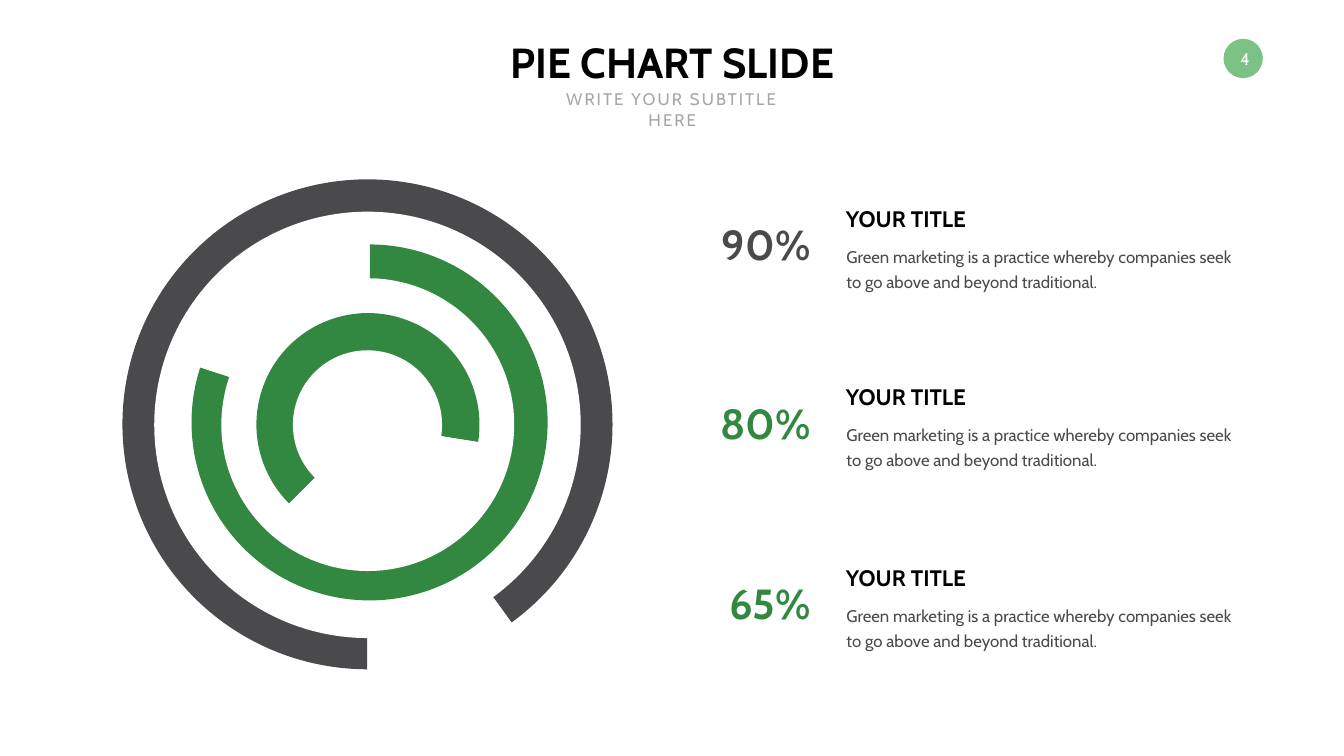
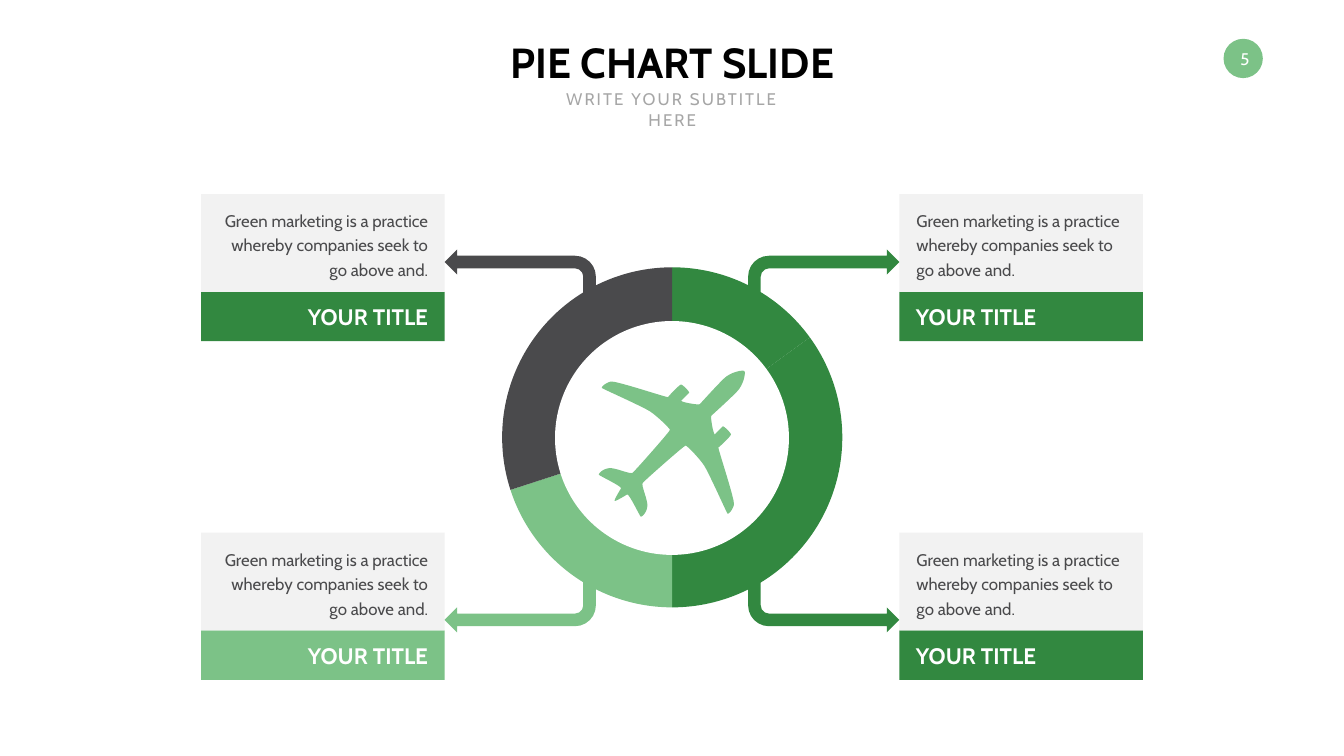
import pptx
import pptx.chart.data
import pptx.dml.color
import pptx.enum.chart
import pptx.enum.shapes
import pptx.enum.text
import pptx.oxml
import pptx.oxml.ns
import pptx.util

Inches = pptx.util.Inches
Pt = pptx.util.Pt
RGBColor = pptx.dml.color.RGBColor
SHAPE = pptx.enum.shapes.MSO_SHAPE
ALIGN = pptx.enum.text.PP_ALIGN
ANCHOR = pptx.enum.text.MSO_ANCHOR

BLACK = RGBColor(0x00, 0x00, 0x00)
WHITE = RGBColor(0xFF, 0xFF, 0xFF)
CHARCOAL = RGBColor(0x4A, 0x4A, 0x4C)
GREEN = RGBColor(0x32, 0x88, 0x40)
LIGHT_GREEN = RGBColor(0x7C, 0xC2, 0x87)
PALE_GREY = RGBColor(0xF2, 0xF2, 0xF2)
MID_GREY = RGBColor(0xA6, 0xA6, 0xA6)
FONT = "Cabin"

# Upper half of the plane, nose to tail: each curve is two controls and an end
NOSE = (14.76, 7.36)
PLANE_CURVES = [
    ((14.74, 7.34), (14.5, 7.37), (14.35, 7.52)),
    ((14.17, 7.7), (13.91, 7.99), (13.88, 8.02)),
    ((13.85, 8.04), (13.51, 7.98), (13.51, 7.95)),
    ((13.54, 7.92), (13.66, 7.81), (13.67, 7.79)),
    ((13.67, 7.76), (13.54, 7.63), (13.51, 7.63)),
    ((13.48, 7.63), (13.29, 7.83), (13.25, 7.88)),
    ((13.23, 7.89), (12.21, 7.55), (12.12, 7.57)),
    ((12.03, 7.59), (11.92, 7.67), (11.94, 7.7)),
    ((11.97, 7.72), (12.75, 8.07), (12.89, 8.16)),
    ((13.03, 8.25), (13.29, 8.5), (13.29, 8.53)),
    ((13.29, 8.56), (12.59, 9.35), (12.55, 9.38)),
    ((12.5, 9.42), (12.2, 9.27), (12.08, 9.29)),
    ((11.97, 9.3), (11.87, 9.39), (11.88, 9.42)),
    ((11.89, 9.44), (12.34, 9.65), (12.32, 9.69)),
    ((12.3, 9.72), (12.18, 9.92), (12.19, 9.94)),
]
PLANE_AXIS = 22.13  # x + y along the fuselage


def plane_outline(steps=8):
    """Sample the curves and mirror them across the fuselage."""
    half = [NOSE]
    for first, second, end in PLANE_CURVES:
        start = half[-1]
        for step in range(1, steps + 1):
            t = step / steps
            u = 1 - t
            half.append(tuple(
                u**3 * a + 3 * u * u * t * b + 3 * u * t * t * c + t**3 * d
                for a, b, c, d in zip(start, first, second, end)))
    mirrored = [(PLANE_AXIS - y, PLANE_AXIS - x) for x, y in reversed(half)]
    return half + mirrored


class Deck:
    """Holds the style and the current slide."""

    def __init__(self):
        self.presentation = pptx.Presentation()
        self.presentation.slide_width = Inches(26.66)
        self.presentation.slide_height = Inches(15)
        self.slide = None

    def new_slide(self, number, title, subtitle):
        self.slide = self.presentation.slides.add_slide(
            self.presentation.slide_layouts[6])
        self.shape(SHAPE.OVAL, 24.27, 0.77, 0.78, 0.78, LIGHT_GREEN)
        self.text(str(number), 24.35, 0.83, 0.69, 0.69, color=WHITE,
                  align=ALIGN.CENTER, anchor=ANCHOR.MIDDLE, inset=(0, 0))
        self.text(title, 9.86, 0.67, 6.95, 1.11, size=60, color=BLACK,
                  bold=True, align=ALIGN.CENTER)
        self.text(subtitle, 10.62, 1.72, 5.43, 0.5, color=MID_GREY,
                  align=ALIGN.CENTER, wrap=True, tracking=3)

    def paint(self, shape, color):
        shape.shadow.inherit = False
        shape.fill.solid()
        shape.fill.fore_color.rgb = color
        shape.line.fill.background()

    def shape(self, kind, left, top, width, height, color):
        shape = self.slide.shapes.add_shape(
            kind, Inches(left), Inches(top), Inches(width), Inches(height))
        self.paint(shape, color)
        return shape

    def outline(self, points, color):
        corners = [(Inches(x), Inches(y)) for x, y in points]
        builder = self.slide.shapes.build_freeform(*corners[0])
        builder.add_line_segments(corners[1:], close=True)
        self.paint(builder.convert_to_shape(), color)

    def bent_arrow(self, left, top, color, flip_h, flip_v):
        arrow = self.shape(SHAPE.BENT_ARROW, left, top, 3, 1, color)
        for index, value in enumerate((0.25, 0.25, 0.25, 0.413)):
            arrow.adjustments[index] = value
        xfrm = arrow._element.spPr.find(pptx.oxml.ns.qn("a:xfrm"))
        if flip_h:
            xfrm.set("flipH", "1")
        if flip_v:
            xfrm.set("flipV", "1")

    def text(self, words, left, top, width, height, size=24, color=CHARCOAL,
             bold=False, align=ALIGN.LEFT, anchor=ANCHOR.TOP, wrap=False,
             inset=(0.1, 0.05), leading=None, tracking=None):
        box = self.slide.shapes.add_textbox(
            Inches(left), Inches(top), Inches(width), Inches(height))
        frame = box.text_frame
        frame.text = words
        frame.word_wrap = wrap
        frame.auto_size = pptx.enum.text.MSO_AUTO_SIZE.SHAPE_TO_FIT_TEXT
        frame.vertical_anchor = anchor
        frame.margin_left = frame.margin_right = Inches(inset[0])
        frame.margin_top = frame.margin_bottom = Inches(inset[1])
        paragraph = frame.paragraphs[0]
        paragraph.alignment = align
        if leading:
            paragraph.line_spacing = Pt(leading)
        run = paragraph.runs[0]
        run.font.name = FONT
        run.font.size = Pt(size)
        run.font.bold = bold
        run.font.color.rgb = color
        if tracking:
            run._r.get_or_add_rPr().set("spc", str(tracking * 100))

    def heading(self, words, left, top, color, align=ALIGN.LEFT):
        self.text(words, left, top, 2.68, 0.64, size=32, color=color,
                  bold=True, align=align, anchor=ANCHOR.MIDDLE)

    def ring(self, left, top, size, values, colors, hole, start=0,
             plot=(0.005, 0.005)):
        """A pie chart with a white disc (left, top, size) over its centre."""
        data = pptx.chart.data.CategoryChartData()
        data.categories = [str(i + 1) for i in range(len(values))]
        data.add_series("Series 1", values)
        chart = self.slide.shapes.add_chart(
            pptx.enum.chart.XL_CHART_TYPE.PIE, Inches(left), Inches(top),
            Inches(size), Inches(size), data).chart
        chart.has_legend = False
        chart.has_title = False
        chart.font.name = FONT
        chart.font.size = Pt(10)
        chart.font.color.rgb = CHARCOAL
        pie = chart.plots[0]
        pie.vary_by_categories = True
        for index, color in enumerate(colors):
            slice_format = pie.series[0].points[index].format
            slice_format.fill.solid()
            slice_format.fill.fore_color.rgb = color
            slice_format.line.fill.background()
        self.place_pie(chart, start, plot)
        hole_left, hole_top, hole_size = hole
        self.shape(SHAPE.OVAL, hole_left, hole_top, hole_size, hole_size,
                   WHITE)

    def place_pie(self, chart, start, plot):
        """Set the plot area and the angle of the first slice."""
        qn = pptx.oxml.ns.qn
        namespace = pptx.oxml.ns.nsdecls("c")
        area = chart._chartSpace.find(".//" + qn("c:plotArea"))
        for layout in area.findall(qn("c:layout")):
            area.remove(layout)
        settings = [("layoutTarget", "inner"), ("xMode", "edge"),
                    ("yMode", "edge"), ("x", plot[0]), ("y", plot[1]),
                    ("w", 0.99), ("h", 0.988)]
        inner = "".join(f'<c:{tag} val="{value}"/>' for tag, value in settings)
        area.insert(0, pptx.oxml.parse_xml(
            f"<c:layout {namespace}><c:manualLayout>{inner}"
            "</c:manualLayout></c:layout>"))
        pie = area.find(qn("c:pieChart"))
        for angle in pie.findall(qn("c:firstSliceAng")):
            pie.remove(angle)
        pie.append(pptx.oxml.parse_xml(
            f'<c:firstSliceAng {namespace} val="{start}"/>'))


def build_nested_rings(deck):
    deck.new_slide(4, "PIE CHART SLIDE", "WRITE YOUR SUBTITLE HERE")

    # Rings, outermost first
    deck.ring(2.37, 3.51, 9.84, (90, 10), (CHARCOAL, WHITE),
              hole=(3.06, 4.2, 8.46), start=180)
    deck.ring(3.72, 4.85, 7.15, (80, 20), (GREEN, WHITE),
              hole=(4.39, 5.52, 5.81), plot=(0.011, 0))
    deck.ring(5.06, 6.19, 4.48, (65, 35), (GREEN, WHITE),
              hole=(5.81, 6.95, 2.96), start=225)

    # Percentages with their explanations
    rows = [("90%", CHARCOAL, 4.01), ("80%", GREEN, 7.55),
            ("65%", GREEN, 11.14)]
    for index, (percentage, color, top) in enumerate(rows):
        deck.heading("YOUR TITLE", 16.68, top, BLACK)
        deck.text("Green marketing is a practice whereby companies seek "
                  "to go above and beyond traditional.",
                  16.55, top + 0.68, 8.44, 1.17, wrap=True,
                  inset=(0.24, 0.12), leading=35)
        deck.text(percentage, 14.15, 4.28 + 3.56 * index, 2.03, 1.11, size=60,
                  color=color, bold=True, align=ALIGN.RIGHT,
                  anchor=ANCHOR.MIDDLE)


def build_plane_ring(deck):
    deck.new_slide(5, "PIE CHART SLIDE", "WRITE YOUR SUBTITLE HERE")

    # Ring with the plane inside
    deck.ring(9.92, 5.27, 6.83, (15, 35, 20, 30),
              (GREEN, GREEN, LIGHT_GREEN, CHARCOAL), hole=(11.01, 6.37, 4.64))
    deck.outline(plane_outline(), LIGHT_GREEN)

    # Cards in the four corners, each with its arrow
    cards = [  # on the left, on the bottom, band colour, arrow colour
        (True, False, GREEN, CHARCOAL),
        (True, True, LIGHT_GREEN, LIGHT_GREEN),
        (False, True, GREEN, GREEN),
        (False, False, GREEN, GREEN),
    ]
    for on_left, on_bottom, band_color, arrow_color in cards:
        left = 3.99 if on_left else 17.84
        top = 10.57 if on_bottom else 3.85
        align = ALIGN.RIGHT if on_left else ALIGN.LEFT
        deck.shape(SHAPE.RECTANGLE, left, top + 1.94, 4.83, 0.98, band_color)
        deck.shape(SHAPE.RECTANGLE, left, top, 4.83, 1.94, PALE_GREY)
        deck.text("Green marketing is a practice whereby companies seek "
                  "to go above and.", left + 0.24, top + 0.21, 4.36, 1.52,
                  align=align, anchor=ANCHOR.MIDDLE, wrap=True, leading=35)
        deck.heading("YOUR TITLE", left + (1.92 if on_left else 0.23),
                     top + 2.11, WHITE, align)
        deck.bent_arrow(8.82 if on_left else 14.84,
                        11.55 if on_bottom else 4.95,
                        arrow_color, on_left, on_bottom)


def main():
    deck = Deck()
    build_nested_rings(deck)
    build_plane_ring(deck)
    deck.presentation.save("out.pptx")


if __name__ == "__main__":
    main()
